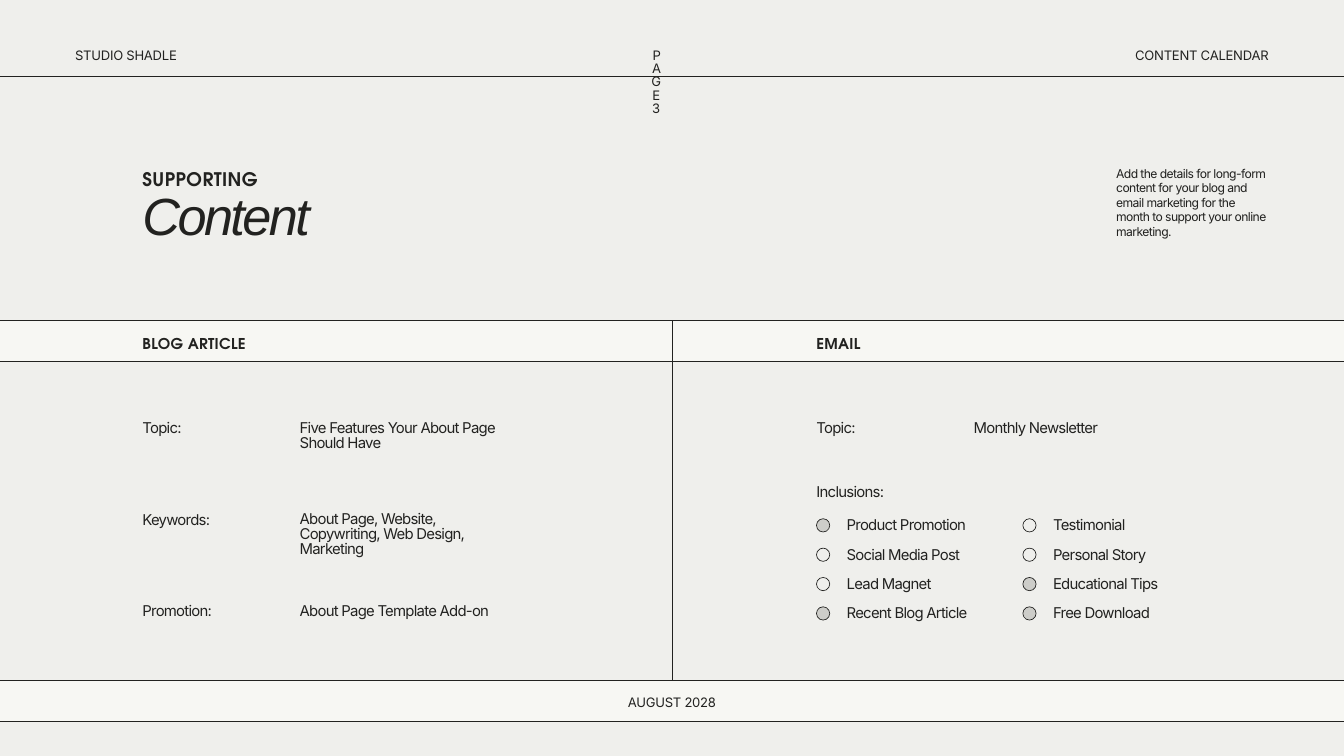
import dataclasses

import lxml.etree
import pptx
import pptx.dml.color
import pptx.enum.shapes
import pptx.enum.text
import pptx.oxml.ns
import pptx.util

Pt = pptx.util.Pt
ALIGN = pptx.enum.text.PP_ALIGN
ANCHOR = pptx.enum.text.MSO_ANCHOR
SHAPE = pptx.enum.shapes.MSO_SHAPE


@dataclasses.dataclass(frozen=True)
class Theme:
    """Colours, line weight and text styles (font, size, leading, tracking)."""
    paper: str = "EFEFEC"
    band: str = "F7F7F3"
    ink: str = "222220"
    checked: str = "CDCDC9"
    rule: float = 0.75
    body: tuple = ("Inter", 16, 16, -0.8)
    label: tuple = ("Inter", 14, 14, -0.3)
    note: tuple = ("Inter", 13, 15.6, -0.6)
    heading: tuple = ("TeX Gyre Adventor", 16, 22.4, 0.3)
    kicker: tuple = ("TeX Gyre Adventor", 20, 28, 0.4)
    title: tuple = ("Arial", 56, 56, -2.8)


THEME = Theme()
WIDTH, HEIGHT = 1440, 810
BLEED = 30


def rgb(value):
    """Return a colour from its hex string."""
    return pptx.dml.color.RGBColor.from_string(value)


def add_text(s, text, box, style=THEME.body, bold=False, italic=False,
             align=ALIGN.LEFT, anchor=ANCHOR.TOP):
    """Place one wrapped paragraph in a box without insets."""
    font, size, leading, tracking = style
    tf = s.shapes.add_textbox(*map(Pt, box)).text_frame
    tf.word_wrap = True
    tf.vertical_anchor = anchor
    tf.margin_left = tf.margin_top = tf.margin_right = tf.margin_bottom = 0
    p = tf.paragraphs[0]
    p.alignment = align
    p.line_spacing = Pt(leading)
    r = p.add_run()
    r.text = text
    r.font.name = font
    r.font.size = Pt(size)
    r.font.bold = bold
    r.font.italic = italic
    r.font.color.rgb = rgb(THEME.ink)
    r._r.get_or_add_rPr().set("spc", str(round(tracking * 100)))


def add_outlined(s, kind, box, fill=None):
    """Add a thinly outlined shape, filled only when a colour is given."""
    sp = s.shapes.add_shape(kind, *map(Pt, box))
    sp.shadow.inherit = False
    if fill:
        sp.fill.solid()
        sp.fill.fore_color.rgb = rgb(fill)
    else:
        sp.fill.background()
    sp.line.color.rgb = rgb(THEME.ink)
    sp.line.width = Pt(THEME.rule)


def add_rule(s, *ends):
    """Draw a thin straight line given x1, y1, x2, y2."""
    line = s.shapes.add_connector(
        pptx.enum.shapes.MSO_CONNECTOR.STRAIGHT, *map(Pt, ends))
    line.line.color.rgb = rgb(THEME.ink)
    line.line.width = Pt(THEME.rule)
    lxml.etree.SubElement(line._element.spPr, pptx.oxml.ns.qn("a:effectLst"))


def add_band(s, top, height):
    """Draw a pale band across the whole slide."""
    add_outlined(s, SHAPE.RECTANGLE,
                 (-BLEED, top, WIDTH + 2 * BLEED, height), THEME.band)


def add_header(s, box):
    """Place the running header, its rule and the stacked page number."""
    x, y, w, h = box
    side = 235.4
    add_text(s, "STUDIO SHADLE", (x, y, side, 15), THEME.label)
    add_text(s, "CONTENT CALENDAR", (x + w - side, y, side, 15), THEME.label,
             align=ALIGN.RIGHT)
    add_text(s, "PAGE 3", (697, y, 12.2, 70), THEME.label, align=ALIGN.CENTER)
    add_rule(s, -BLEED, y + h, WIDTH + BLEED, y + h)


def add_title(s, box):
    """Place the two-line title and the note at the right."""
    x, y, w, h = box
    note_w = 163.4
    add_text(s, "SUPPORTING", (x, y, 354, 26), THEME.kicker, bold=True)
    add_text(s, "Content", (x, y + 31.7, 354, 59), THEME.title, italic=True)
    add_text(s, "Add the details for long-form content for your blog and email "
                "marketing for the month to support your online marketing.",
             (x + w - note_w, y + 2.2, note_w, h), THEME.note)


def add_fields(s, box, heading, fields):
    """Place a column heading and evenly spaced label and value pairs."""
    x, y, w, h = box
    value_x, step = 168.5, 98
    add_text(s, heading, (x, y, w, 21), THEME.heading, bold=True)
    for i, (name, value) in enumerate(fields):
        top = y + 97 + i * step
        add_text(s, name, (x, top, 153.4, 16))
        add_text(s, value, (x + value_x, top - 0.5, w - value_x, 48))


def add_checklist(s, box, title, columns):
    """Place a title above columns of round check marks with labels."""
    x, y, w, h = box
    add_text(s, title, (x, y, 153.4, 16))
    col_step, row_step, mark = w / len(columns), 31.45, 14.2
    for c, items in enumerate(columns):
        for i, (name, checked) in enumerate(items):
            left, top = x + c * col_step, y + 36 + i * row_step
            add_outlined(s, SHAPE.OVAL, (left, top, mark, mark),
                         THEME.checked if checked else None)
            add_text(s, name, (left + 32.4, top, 170.6, 16))


def add_footer(s, box):
    """Place the month in a band at the foot."""
    x, y, w, h = box
    add_band(s, y, h)
    add_text(s, "AUGUST 2028", (x, y + 5.8, w, h - 5.8), THEME.label,
             align=ALIGN.CENTER, anchor=ANCHOR.MIDDLE)


def main():
    """Build the supporting content slide."""
    prs = pptx.Presentation()
    prs.slide_width, prs.slide_height = Pt(WIDTH), Pt(HEIGHT)
    s = prs.slides.add_slide(prs.slide_layouts[6])
    s.background.fill.solid()
    s.background.fill.fore_color.rgb = rgb(THEME.paper)

    band_top, foot_top, band_h = 343.4, 728.6, 43.8
    blog_x, email_x, col_w, col_h = 152.6, 874.8, 388.1, 315
    add_header(s, (80.6, 54, 1278.7, 28))
    add_title(s, (blog_x, 175.7, 1206.7, 75))
    add_band(s, band_top, band_h)
    add_fields(s, (blog_x, 355, col_w, col_h), "BLOG ARTICLE", [
        ("Topic:", "Five Features Your About Page Should Have"),
        ("Keywords:", "About Page, Website, Copywriting, Web Design, Marketing"),
        ("Promotion:", "About Page Template Add-on"),
    ])
    add_fields(s, (email_x, 355, col_w, col_h), "EMAIL",
               [("Topic:", "Monthly Newsletter")])
    add_checklist(s, (email_x, 519.8, 442.2, 145), "Inclusions:", [
        [("Product Promotion", True), ("Social Media Post", False),
         ("Lead Magnet", False), ("Recent Blog Article", True)],
        [("Testimonial", False), ("Personal Story", False),
         ("Educational Tips", True), ("Free Download", True)],
    ])
    add_footer(s, (0, foot_top, WIDTH, band_h))
    add_rule(s, WIDTH / 2, foot_top, WIDTH / 2, band_top)
    prs.save("out.pptx")


if __name__ == "__main__":
    main()
